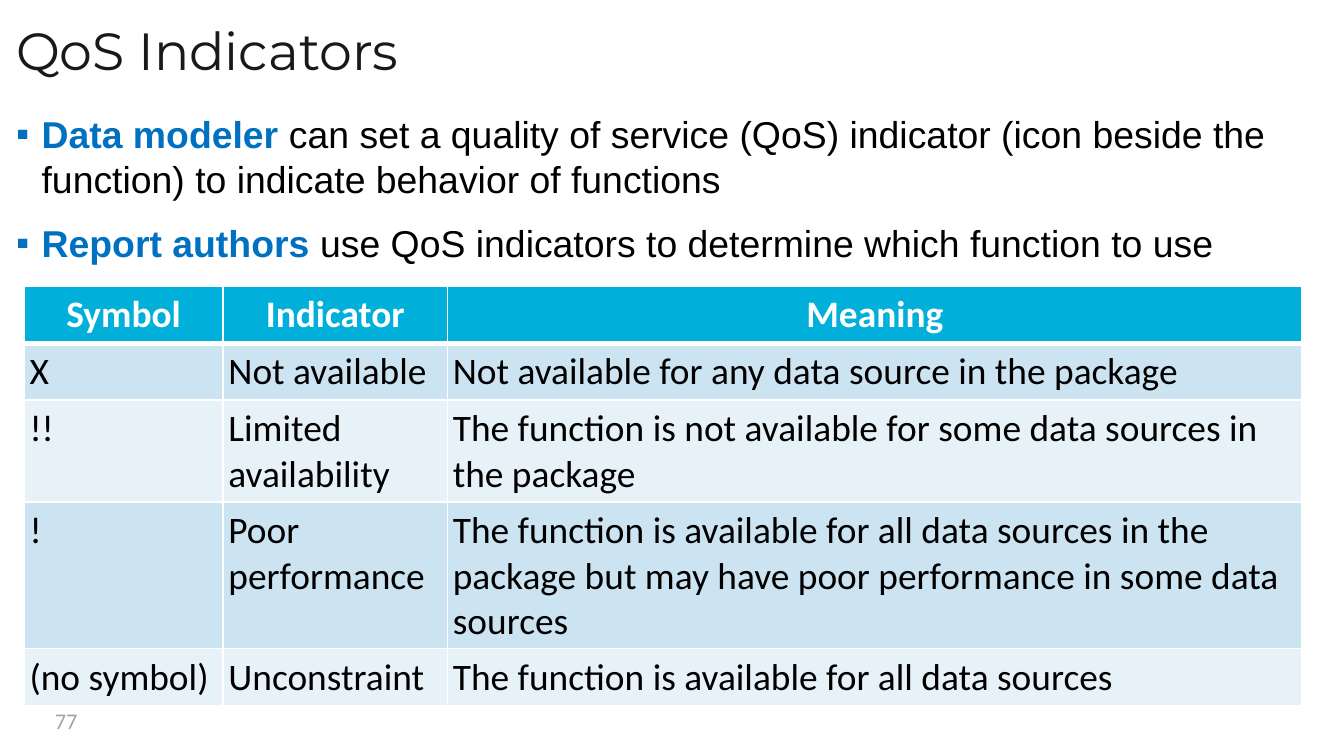
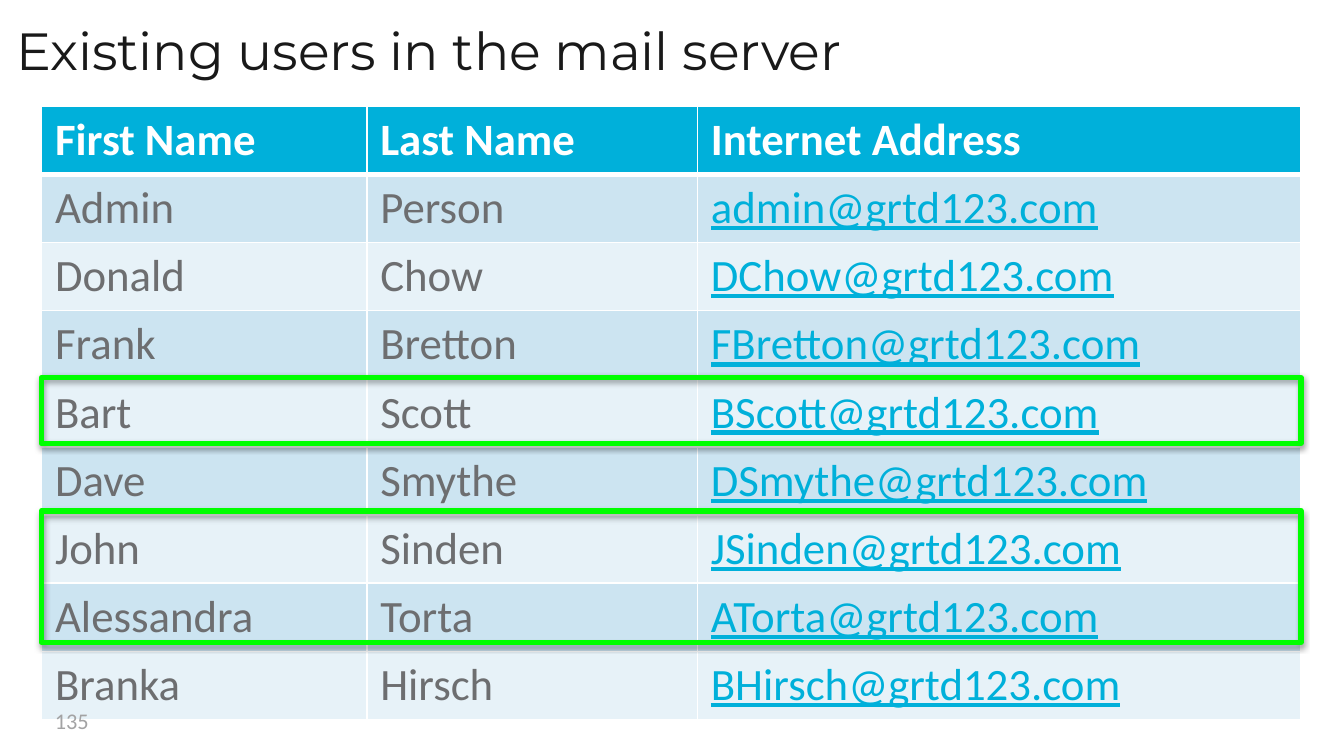
from lxml import etree
from pptx import Presentation
from pptx.dml.color import RGBColor
from pptx.enum.shapes import MSO_SHAPE
from pptx.enum.text import MSO_ANCHOR, PP_ALIGN
from pptx.oxml.ns import qn
from pptx.util import Inches, Pt

RECTANGLE = MSO_SHAPE.RECTANGLE
MIDDLE = MSO_ANCHOR.MIDDLE
LEFT, CENTER = PP_ALIGN.LEFT, PP_ALIGN.CENTER

WHITE = RGBColor(0xFF, 0xFF, 0xFF)
BLACK = RGBColor(0x00, 0x00, 0x00)
INK = RGBColor(0x01, 0x00, 0x00)
TITLE_INK = RGBColor(0x19, 0x19, 0x19)
GRAY = RGBColor(0x6D, 0x6E, 0x70)
PALE_GRAY = RGBColor(0xA3, 0xA3, 0xA4)
BLUE = RGBColor(0x00, 0x70, 0xC0)
CYAN = RGBColor(0x00, 0xB0, 0xDA)
BAND_DARK = RGBColor(0xCC, 0xE4, 0xF1)
BAND_LIGHT = RGBColor(0xE7, 0xF2, 0xF8)
GREEN = RGBColor(0x00, 0xFF, 0x00)

ROW_HEIGHT = 0.41


def write(paragraph, text, size=20, font="Calibri", color=INK, bold=False,
          underline=False, align=LEFT):
    """Add a formatted run to a paragraph."""
    paragraph.alignment = align
    run = paragraph.add_run()
    run.text = text
    run.font.size = Pt(size)
    run.font.name = font
    run.font.color.rgb = color
    run.font.bold = bold
    run.font.underline = underline


def set_margins(target, horizontal, vertical):
    """Set the inner margins of a text frame or table cell."""
    target.margin_left = target.margin_right = Inches(horizontal)
    target.margin_top = target.margin_bottom = Inches(vertical)


def add_solid_fill(parent, color):
    """Append a solid fill element."""
    fill = etree.SubElement(parent, qn("a:solidFill"))
    etree.SubElement(fill, qn("a:srgbClr"), val=str(color))


def set_borders(cell, top, bottom):
    """Draw white cell borders with the given top and bottom widths."""
    properties = cell._tc.get_or_add_tcPr()
    widths = {"a:lnL": 1, "a:lnR": 1, "a:lnT": top, "a:lnB": bottom}
    for index, (tag, width) in enumerate(widths.items()):
        line = etree.Element(qn(tag), w=str(Pt(width)))
        add_solid_fill(line, WHITE)
        properties.insert(index, line)


class Deck:
    """Hold the shared style and the current slide."""

    def __init__(self):
        """Start an empty widescreen presentation."""
        self.presentation = Presentation()
        self.presentation.slide_width = Inches(10)
        self.presentation.slide_height = Inches(10) * 9 // 16
        self.slide = None

    def add_slide(self, title):
        """Add a white slide with a title."""
        layout = self.presentation.slide_layouts[5]
        self.slide = self.presentation.slides.add_slide(layout)
        self.slide.background.fill.solid()
        self.slide.background.fill.fore_color.rgb = WHITE
        shape = self.slide.shapes.title
        shape.left, shape.top = Inches(0), Inches(0)
        shape.width, shape.height = Inches(10), Inches(0.79)
        frame = shape.text_frame
        frame.word_wrap = True
        frame.vertical_anchor = MIDDLE
        set_margins(frame, 0.12, 0.05)
        frame.paragraphs[0].line_spacing = 0.9
        write(frame.paragraphs[0], title, size=28, font="Montserrat",
              color=TITLE_INK)

    def add_text_frame(self, left, top, width, height):
        """Add a wrapping text box and return its text frame."""
        box = self.slide.shapes.add_textbox(
            Inches(left), Inches(top), Inches(width), Inches(height))
        box.text_frame.word_wrap = True
        return box.text_frame

    def add_page_number(self, number):
        """Add the page number at the lower left."""
        frame = self.add_text_frame(0.31, 5.21, 2.33, 0.3)
        frame.vertical_anchor = MIDDLE
        write(frame.paragraphs[0], str(number), size=12, color=PALE_GRAY)

    def add_bullets(self, items):
        """Add bullets that each open with a bold lead."""
        frame = self.add_text_frame(0, 0.79, 10, 4.43)
        set_margins(frame, 0.12, 0.04)
        for index, (lead, rest) in enumerate(items):
            paragraph = frame.add_paragraph() if index else frame.paragraphs[0]
            properties = paragraph._p.get_or_add_pPr()
            properties.set("marL", str(Inches(0.19)))
            properties.set("indent", str(-Inches(0.19)))
            etree.SubElement(properties, qn("a:buFont"), typeface="Arial")
            etree.SubElement(properties, qn("a:buChar"), char="▪")
            if index:
                paragraph.space_before = Pt(10)
            write(paragraph, lead, font="Arial", color=BLUE, bold=True)
            write(paragraph, rest, font="Arial")

    def add_table(self, left, top, widths, rows, size, margins, column_formats,
                  header_align=LEFT):
        """Add a banded table whose first row is the header."""
        table = self.slide.shapes.add_table(
            len(rows), len(widths), Inches(left), Inches(top),
            Inches(sum(widths)), Inches(ROW_HEIGHT * len(rows))).table
        for column, width in zip(table.columns, widths):
            column.width = Inches(width)
        for row_index, row in enumerate(rows):
            table.rows[row_index].height = Inches(ROW_HEIGHT)
            is_header = row_index == 0
            band = BAND_DARK if row_index % 2 else BAND_LIGHT
            for column_index, text in enumerate(row):
                cell = table.cell(row_index, column_index)
                set_margins(cell, *margins)
                cell.fill.solid()
                cell.fill.fore_color.rgb = CYAN if is_header else band
                set_borders(cell, 3 if row_index == 1 else 1,
                            3 if is_header else 1)
                style = column_formats[column_index]
                if is_header:
                    style = {"color": WHITE, "bold": True,
                             "align": header_align}
                write(cell.text_frame.paragraphs[0], text, size=size, **style)

    def add_highlight(self, top, height):
        """Outline table rows with a shadowed green frame."""
        shape = self.slide.shapes.add_shape(
            RECTANGLE, Inches(0.31), Inches(top), Inches(9.37), Inches(height))
        shape.fill.background()
        shape.line.color.rgb = GREEN
        shape.line.width = Pt(3)
        shape.shadow.inherit = False
        effects = shape._element.spPr.find(qn("a:effectLst"))
        shadow = etree.SubElement(
            effects, qn("a:outerShdw"), blurRad=str(Pt(3.1)),
            dist=str(Pt(1.6)), dir="5400000", rotWithShape="0")
        color = etree.SubElement(shadow, qn("a:srgbClr"), val=str(BLACK))
        etree.SubElement(color, qn("a:alpha"), val="38000")


def add_indicators_slide(deck):
    """Build the slide on quality of service indicators."""
    deck.add_slide("QoS Indicators")
    deck.add_bullets([
        ("Data modeler", " can set a quality of service (QoS) indicator (icon "
         "beside the function) to indicate behavior of functions"),
        ("Report authors",
         " use QoS indicators to determine which function to use"),
    ])
    deck.add_page_number(77)
    rows = [
        ("Symbol", "Indicator", "Meaning"),
        ("X", "Not available",
         "Not available for any data source in the package"),
        ("!!", "Limited availability", "The function is not available for "
         "some data sources in the package"),
        ("!", "Poor performance", "The function is available for all data "
         "sources in the package but may have poor performance in some data "
         "sources"),
        ("(no symbol)", "Unconstraint",
         "The function is available for all data sources"),
    ]
    deck.add_table(0.18, 2.13, (1.48, 1.67, 6.36), rows, 20, (0.04, 0.09 / 2),
                   [{"color": INK}] * 3, header_align=CENTER)


def add_users_slide(deck):
    """Build the slide that lists mail server users."""
    deck.add_slide("Existing users in the mail server")
    users = [
        ("Admin", "Person", "admin"),
        ("Donald", "Chow", "DChow"),
        ("Frank", "Bretton", "FBretton"),
        ("Bart", "Scott", "BScott"),
        ("Dave", "Smythe", "DSmythe"),
        ("John", "Sinden", "JSinden"),
        ("Alessandra", "Torta", "ATorta"),
        ("Branka", "Hirsch", "BHirsch"),
    ]
    rows = [("First Name", "Last Name", "Internet Address")]
    rows += [(first, last, f"{account}@grtd123.com")
             for first, last, account in users]
    name_format = {"color": GRAY}
    address_format = {"color": CYAN, "underline": True}
    deck.add_table(0.31, 0.79, (2.42, 2.46, 4.49), rows, 24, (0.1, 0.05),
                   [name_format, name_format, address_format])
    deck.add_page_number(135)
    deck.add_highlight(2.81, 0.49)
    deck.add_highlight(3.8, 0.98)


def main():
    """Build and save the presentation."""
    deck = Deck()
    add_indicators_slide(deck)
    add_users_slide(deck)
    deck.presentation.save("out.pptx")


if __name__ == "__main__":
    main()
